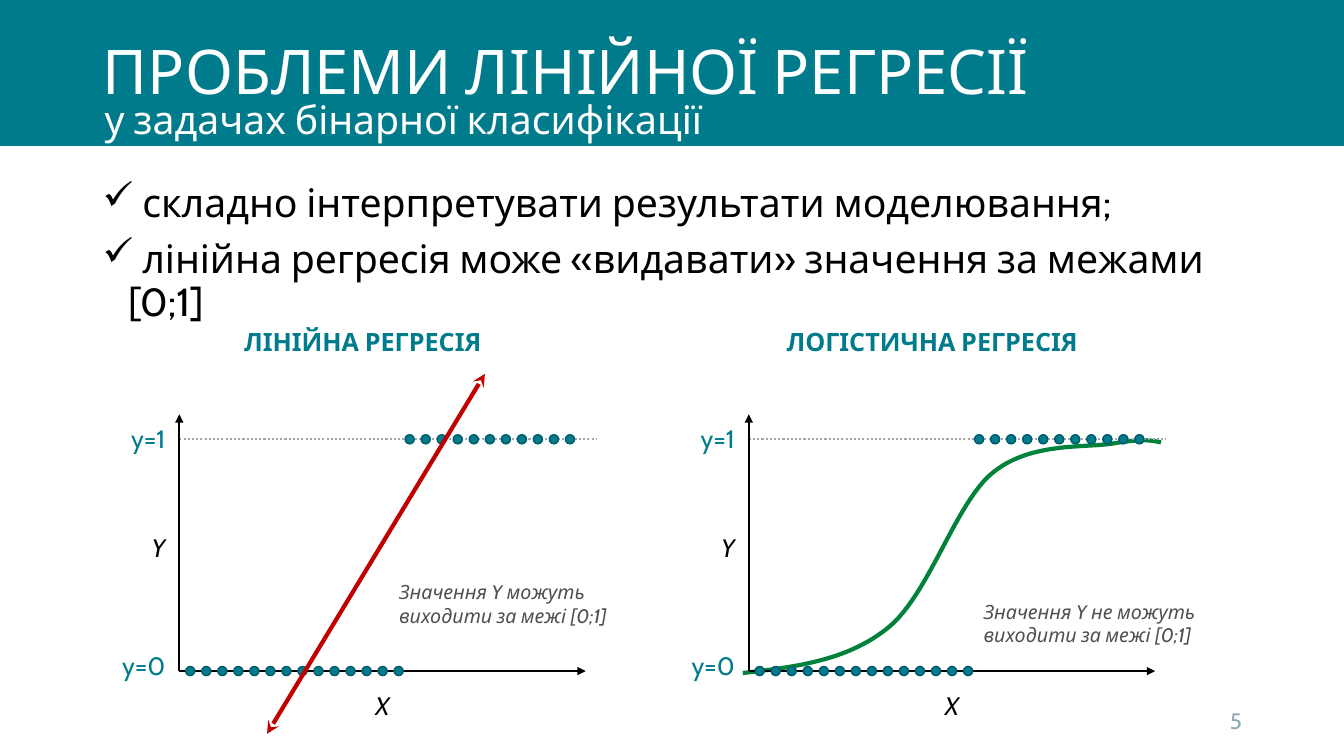
from lxml.etree import SubElement
from pptx import Presentation
from pptx.dml.color import RGBColor
from pptx.enum.dml import MSO_LINE
from pptx.enum.shapes import MSO_CONNECTOR, MSO_SHAPE
from pptx.enum.text import MSO_ANCHOR, PP_ALIGN
from pptx.oxml.ns import qn
from pptx.util import Cm, Pt

FONT = "Cabin"
TEAL, DARK_TEAL, BLACK, WHITE = "007B8C", "005B68", "000000", "FFFFFF"
GREY, NOTE_GREY, PALE, RED, GREEN = "A6A6A6", "4F4F4F", "8CA9B2", "C00000", "00823B"
LEFT, CENTER, RIGHT = PP_ALIGN.LEFT, PP_ALIGN.CENTER, PP_ALIGN.RIGHT

LINE_ENDS = [(4.39, 10.39), (9.88, 1.32)]
SIGMOID = [
    (12.57, 3.05), (12.34, 3.0), (12.12, 2.95), (11.4, 3.07),
    (10.69, 3.2), (9.3, 3.02), (8.33, 3.81),
    (7.39, 4.57), (6.73, 6.88), (5.69, 7.72),
    (4.65, 8.56), (3.33, 8.71), (2.03, 8.86),
]


def rgb(color):
    """Turn a hex string into a colour."""
    return RGBColor.from_string(color)


def add_text(shapes, box, lines, size, color, align=LEFT, anchor=MSO_ANCHOR.TOP,
             spacing=None, bold=False, italic=False):
    """Place wrapped text in a box given in centimetres and return its paragraphs."""
    frame = shapes.add_textbox(*map(Cm, box)).text_frame
    frame.word_wrap = True
    frame.vertical_anchor = anchor
    frame.text = lines
    for paragraph in frame.paragraphs:
        paragraph.alignment = align
        paragraph.line_spacing = spacing
        for run in paragraph.runs:
            font = run.font
            font.name, font.size = FONT, Pt(size)
            font.bold, font.italic = bold, italic
            font.color.rgb = rgb(color)
    return frame.paragraphs


def add_line(shapes, start, end, color, width, dash=None, **arrows):
    """Draw a straight line with optional headEnd and tailEnd arrows."""
    line = shapes.add_connector(MSO_CONNECTOR.STRAIGHT, *map(Cm, start + end))
    line.line.color.rgb = rgb(color)
    line.line.width = Pt(width)
    if dash:
        line.line.dash_style = dash
    for tag, kind in arrows.items():
        SubElement(line.line._get_or_add_ln(), qn(f"a:{tag}"), type=kind)
    SubElement(line._element.spPr, qn("a:effectLst"))


def add_dots(shapes, left, center, count):
    """Draw a row of evenly spaced observations."""
    size, step = 0.23, 0.404
    for index in range(count):
        dot = shapes.add_shape(MSO_SHAPE.OVAL, Cm(left + index * step),
                               Cm(center - size / 2), Cm(size), Cm(size))
        dot.shadow.inherit = False
        dot.fill.solid()
        dot.fill.fore_color.rgb = rgb(TEAL)
        dot.line.color.rgb = rgb(DARK_TEAL)
        dot.line.width = Pt(1)


def bezier_points(controls, steps=24):
    """Sample a chain of cubic Bezier segments."""
    points = [controls[0]]
    for first in range(0, len(controls) - 1, 3):
        segment = controls[first:first + 4]
        for step in range(1, steps + 1):
            t = step / steps
            weights = ((1 - t) ** 3, 3 * t * (1 - t) ** 2, 3 * t * t * (1 - t), t ** 3)
            points.append(tuple(sum(w * p[axis] for w, p in zip(weights, segment))
                                for axis in (0, 1)))
    return points


def add_sigmoid(shapes, controls):
    """Draw the logistic curve."""
    start, *rest = [(Cm(x), Cm(y)) for x, y in bezier_points(controls)]
    builder = shapes.build_freeform(*start)
    builder.add_line_segments(rest, close=False)
    curve = builder.convert_to_shape()
    curve.shadow.inherit = False
    curve.fill.background()
    curve.line.color.rgb = rgb(GREEN)
    curve.line.width = Pt(3)


def add_header(slide, width, height):
    """Draw the title band with its title and subtitle."""
    band = slide.shapes.add_shape(MSO_SHAPE.RECTANGLE, 0, 0, Cm(width), Cm(height))
    band.shadow.inherit = False
    band.fill.solid()
    band.fill.fore_color.rgb = rgb(TEAL)
    band.line.fill.background()
    for box, words, size in (
        ((2.34, 0.05, 29.21, height), "ПРОБЛЕМИ ЛІНІЙНОЇ РЕГРЕСІЇ", 44),
        ((2.39, height - 1.34, 29.21, 1.47), "у задачах бінарної класифікації", 28),
    ):
        add_text(slide.shapes, box, words, size, WHITE,
                 anchor=MSO_ANCHOR.MIDDLE, spacing=0.9)


def add_problems(slide, box):
    """List the problems with check mark bullets."""
    problems = (" складно інтерпретувати результати моделювання;\n"
                " лінійна регресія може «видавати» значення за межами [0;1]")
    for paragraph in add_text(slide.shapes, box, problems, 28, BLACK, spacing=0.9):
        paragraph.space_before = Pt(10)
        properties = paragraph._p.get_or_add_pPr()
        properties.set("marL", str(Cm(0.64)))
        properties.set("indent", str(-Cm(0.64)))
        SubElement(properties, qn("a:buChar"), char="✓")


def add_regression(slide, left, top, heading, note, note_at, line=None, sigmoid=None):
    """Draw one regression diagram with its origin at left and top."""
    shapes = slide.shapes.add_group_shape().shapes

    def at(x, y):
        return left + x, top + y

    axis_x, zero_y, one_y = 2.18, 8.81, 2.97
    if sigmoid:
        add_sigmoid(shapes, [at(*point) for point in sigmoid])
    add_line(shapes, at(axis_x, one_y), at(12.7, one_y), GREY, 1.5, MSO_LINE.ROUND_DOT)
    for end in ((axis_x, 2.34), (12.42, zero_y)):
        add_line(shapes, at(axis_x, zero_y), at(*end), BLACK, 1.5, tailEnd="triangle")
    add_dots(shapes, *at(2.34, zero_y), 14)
    add_dots(shapes, *at(7.87, one_y), 11)
    if line:
        start, end = line
        add_line(shapes, at(*start), at(*end), RED, 3,
                 headEnd="stealth", tailEnd="stealth")
    for label, y, color in (("y=1", 2.44, TEAL), ("y=0", 8.15, TEAL), ("Y", 5.18, BLACK)):
        add_text(shapes, (*at(0, y), 2.08, 1.02), label, 18, color, RIGHT,
                 italic=label == "Y")
    add_text(shapes, (*at(axis_x, 9.17), 10.24, 1.02), "X", 18, BLACK, CENTER, italic=True)
    add_text(shapes, (*at(0.91, 0), 11.79, 1.02), heading, 18, TEAL, CENTER, bold=True)
    add_text(shapes, (*at(*note_at), 5.97, 1.45), note, 14, NOTE_GREY, italic=True)


def main():
    """Build the slide and save it."""
    deck = Presentation()
    deck.slide_width, deck.slide_height = Cm(33.87), Cm(19.05)
    slide = deck.slides.add_slide(deck.slide_layouts[6])
    add_header(slide, 33.87, 3.68)
    add_problems(slide, (2.34, 4.5, 29.21, 12.09))
    add_text(slide.shapes, (23.93, 17.65, 7.62, 1.02), "5", 16, PALE, RIGHT,
             MSO_ANCHOR.MIDDLE)
    add_regression(slide, 2.34, 8.1, "ЛІНІЙНА РЕГРЕСІЯ",
                   "Значення Y можуть виходити за межі [0;1]", (7.47, 6.4),
                   line=LINE_ENDS)
    add_regression(slide, 16.69, 8.1, "ЛОГІСТИЧНА РЕГРЕСІЯ",
                   "Значення Y не можуть виходити за межі [0;1]", (7.85, 6.88),
                   sigmoid=SIGMOID)
    deck.save("out.pptx")


if __name__ == "__main__":
    main()
